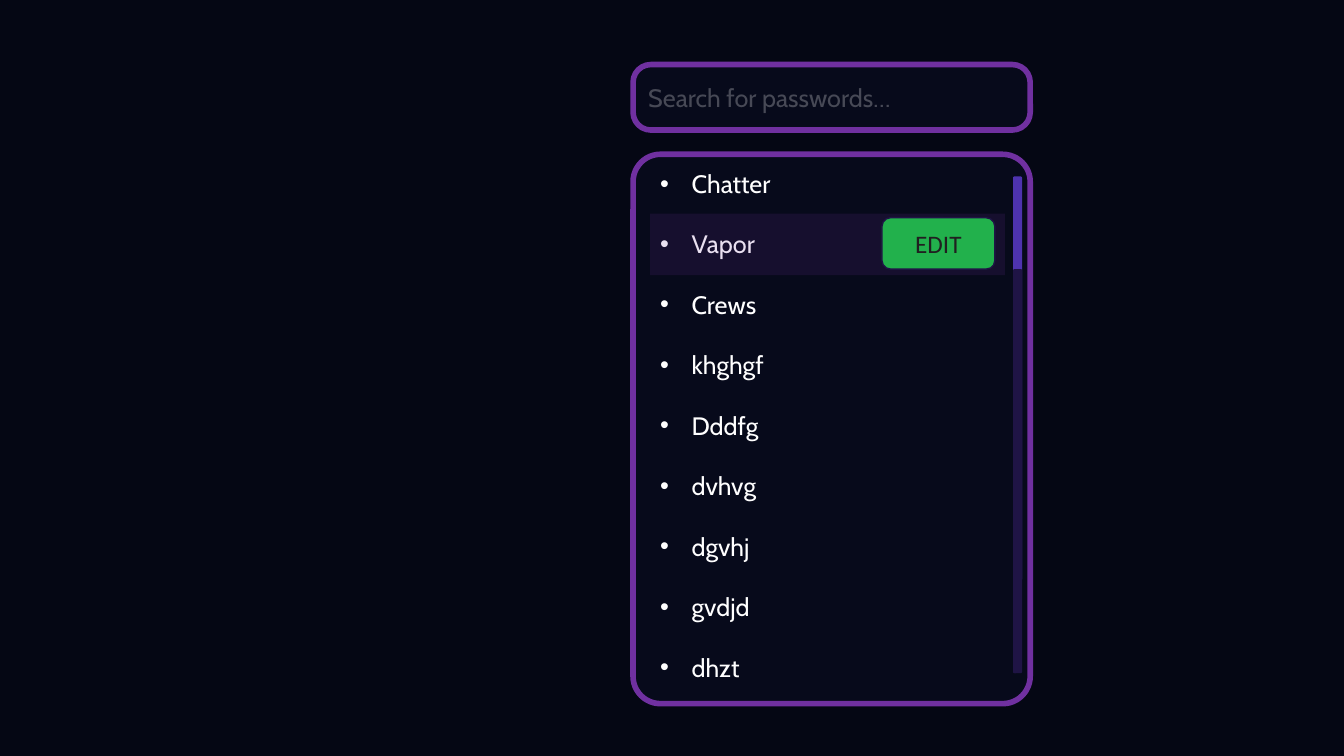
from lxml.etree import SubElement
from pptx import Presentation
from pptx.dml.color import RGBColor
from pptx.enum.shapes import MSO_SHAPE as Shape
from pptx.enum.text import MSO_ANCHOR as Anchor, MSO_AUTO_SIZE as AutoSize, PP_ALIGN as Align
from pptx.oxml.ns import qn
from pptx.util import Pt

SEARCH_HINT = "Search for passwords…"
ACCOUNTS = ["Chatter", "Vapor", "Crews", "khghgf", "Dddfg",
            "dvhvg", "dgvhj", "gvdjd", "dhzt"]
SELECTED_ROW = 1
BUTTON_LABEL = "EDIT"

BACKGROUND = RGBColor(0x05, 0x07, 0x14)
PANEL = RGBColor(0x07, 0x0A, 0x1B)
PURPLE = RGBColor(0x70, 0x30, 0xA0)
SCROLL_THUMB = RGBColor(0x4E, 0x33, 0xAF)
SCROLL_TRACK = RGBColor(0x1F, 0x14, 0x45)
GREEN = RGBColor(0x22, 0xB1, 0x4C)
WHITE = RGBColor(0xFF, 0xFF, 0xFF)
DARK = RGBColor(0x20, 0x20, 0x20)

TEXT_SIZE = 18
LINE_HEIGHT = 21.6
ROW_PITCH = 2 * LINE_HEIGHT
BULLET_INDENT = 22.5

PANEL_LEFT, PANEL_WIDTH = 452.2, 283.7
LIST_LEFT, LIST_TOP = 464.4, 116.6
ROW_TOP = 109.4
SCROLL_LEFT, SCROLL_TOP, SCROLL_WIDTH, SCROLL_HEIGHT = 723.6, 126, 6.5, 288.7
THUMB_HEIGHT = 66.2


def set_alpha(fill_owner, percent):
    """Make the solid fill found inside an XML element partly transparent."""
    color = fill_owner.find(".//" + qn("a:srgbClr"))
    SubElement(color, qn("a:alpha"), val=str(percent * 1000))


def add_box(slide, kind, left, top, width, height, fill, line=None, line_width=1, corner=None):
    shape = slide.shapes.add_shape(kind, Pt(left), Pt(top), Pt(width), Pt(height))
    shape.shadow.inherit = False
    shape.fill.solid()
    shape.fill.fore_color.rgb = fill
    if line is None:
        shape.line.fill.background()
    else:
        shape.line.color.rgb = line
        shape.line.width = Pt(line_width)
    if corner is not None:
        shape.adjustments[0] = corner
    return shape


def write(paragraph, text, font_name, color, align=Align.LEFT):
    paragraph.text = text
    paragraph.alignment = align
    paragraph.font.name = font_name
    paragraph.font.size = Pt(TEXT_SIZE)
    paragraph.font.color.rgb = color


def add_bullet(paragraph):
    properties = paragraph._p.get_or_add_pPr()
    properties.set("marL", str(Pt(BULLET_INDENT)))
    properties.set("indent", str(-Pt(BULLET_INDENT)))
    bullet_font = properties.makeelement(qn("a:buFont"), {"typeface": "Arial"})
    bullet = properties.makeelement(qn("a:buChar"), {"char": "•"})
    defaults = properties.find(qn("a:defRPr"))
    defaults.addprevious(bullet_font)
    defaults.addprevious(bullet)


def add_search_field(slide):
    field = add_box(slide, Shape.ROUNDED_RECTANGLE, PANEL_LEFT, 46.1, PANEL_WIDTH, 46.8,
                    PANEL, PURPLE, 4, 0.272)
    field.text_frame.vertical_anchor = Anchor.MIDDLE
    paragraph = field.text_frame.paragraphs[0]
    write(paragraph, SEARCH_HINT, "Cabin", WHITE)
    run = paragraph.runs[0]
    run.font.color.rgb = WHITE
    set_alpha(run._r, 25)


def add_account_list(slide):
    box = slide.shapes.add_textbox(Pt(LIST_LEFT), Pt(LIST_TOP), Pt(180.7), Pt(378))
    frame = box.text_frame
    frame.word_wrap = True
    frame.auto_size = AutoSize.SHAPE_TO_FIT_TEXT
    for index, account in enumerate(ACCOUNTS):
        paragraph = frame.add_paragraph() if index else frame.paragraphs[0]
        write(paragraph, account, "Cabin", WHITE)
        if index:
            paragraph.space_before = Pt(ROW_PITCH - LINE_HEIGHT)
        add_bullet(paragraph)


def add_scrollbar(slide):
    for top, color in ((SCROLL_TOP, SCROLL_THUMB), (SCROLL_TOP + THUMB_HEIGHT, SCROLL_TRACK)):
        add_box(slide, Shape.ROUNDED_RECTANGLE, SCROLL_LEFT, top, SCROLL_WIDTH,
                SCROLL_HEIGHT, color)


def add_selection(slide):
    top = ROW_TOP + SELECTED_ROW * ROW_PITCH
    highlight = add_box(slide, Shape.RECTANGLE, LIST_LEFT, top, 253.4, 43.9, PURPLE)
    set_alpha(highlight._element.spPr, 15)
    button = add_box(slide, Shape.ROUNDED_RECTANGLE, 630, top + 2.9, 80.6, 36.7,
                     GREEN, SCROLL_TRACK)
    button.text_frame.vertical_anchor = Anchor.MIDDLE
    write(button.text_frame.paragraphs[0], BUTTON_LABEL, "Calibri", DARK, Align.CENTER)


def main():
    presentation = Presentation()
    presentation.slide_width, presentation.slide_height = Pt(960), Pt(540)
    slide = presentation.slides.add_slide(presentation.slide_layouts[6])
    slide.background.fill.solid()
    slide.background.fill.fore_color.rgb = BACKGROUND

    add_box(slide, Shape.ROUNDED_RECTANGLE, PANEL_LEFT, 110.2, PANEL_WIDTH, 392.4,
            PANEL, PURPLE, 4, 0.069)
    add_search_field(slide)
    add_account_list(slide)
    add_scrollbar(slide)
    add_selection(slide)
    presentation.save("out.pptx")


if __name__ == "__main__":
    main()
